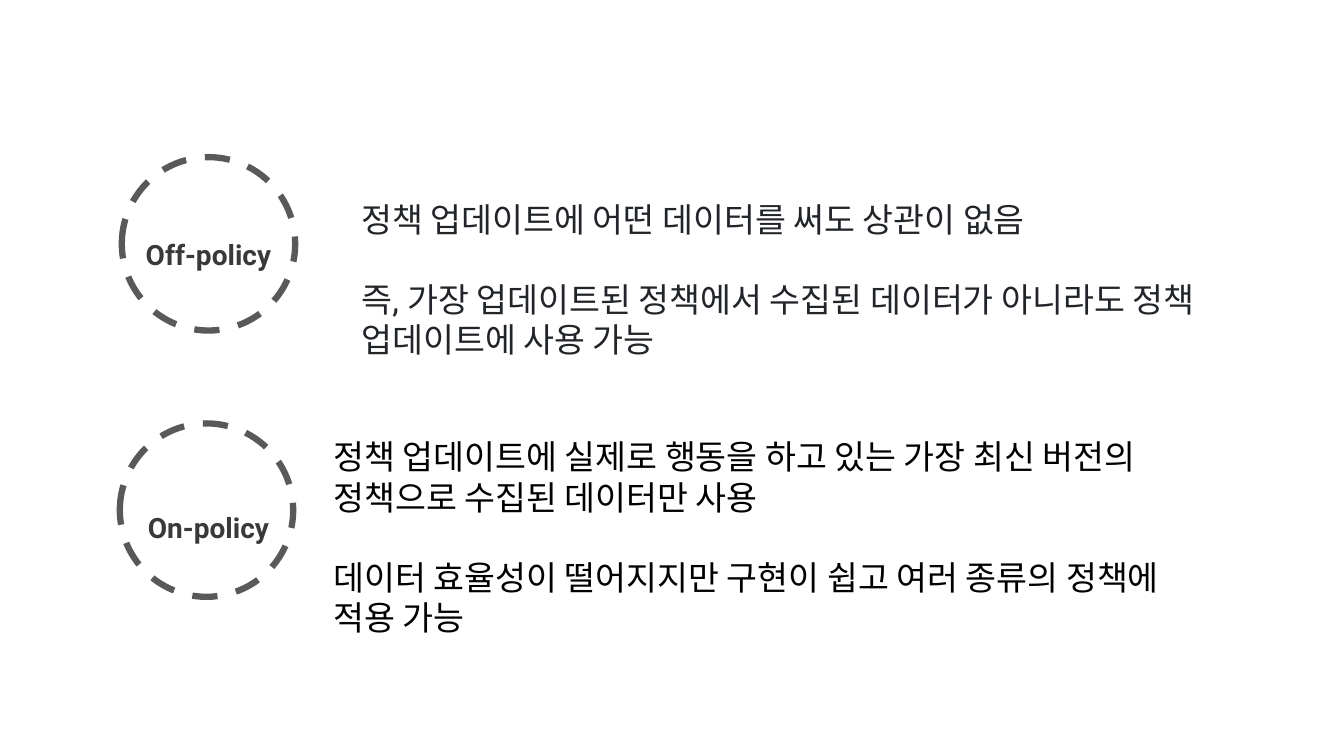
from pptx import Presentation
from pptx.dml.color import RGBColor
from pptx.enum.dml import MSO_LINE
from pptx.enum.shapes import MSO_SHAPE
from pptx.enum.text import PP_ALIGN
from pptx.util import Cm, Pt

COLORS = {
    "white": "FFFFFF",
    "ring": "595959",
    "label": "3B3838",
    "charcoal": "212529",
    "black": "000000",
}
FONT = "Roboto"
DIAMETER = 4.37
LABEL_LEFT = 3.07
LABEL_HEIGHT = 1.42

POLICIES = [
    {
        "label": "Off-policy",
        "ring": (3.07, 3.96),
        "label_top": 5.44,
        "description": (8.86, 4.88, 21.59),
        "color": "charcoal",
        "sentences": [
            "정책 업데이트에 어떤 데이터를 써도 상관이 없음",
            "즉, 가장 업데이트된 정책에서 수집된 데이터가 아니라도 정책 업데이트에 사용 가능",
        ],
    },
    {
        "label": "On-policy",
        "ring": (3.02, 10.67),
        "label_top": 12.32,
        "description": (8.15, 10.87, 23.01),
        "color": "black",
        "sentences": [
            "정책 업데이트에 실제로 행동을 하고 있는 가장 최신 버전의 정책으로 수집된 데이터만 사용",
            "데이터 효율성이 떨어지지만 구현이 쉽고 여러 종류의 정책에 적용 가능",
        ],
    },
]


def color(name):
    return RGBColor.from_string(COLORS[name])


def write(paragraph, text, size=24, name="black", bold=False,
          align=PP_ALIGN.LEFT, line_spacing=1.0, space_before=0):
    paragraph.alignment = align
    paragraph.line_spacing = line_spacing
    paragraph.space_before = Pt(space_before)
    run = paragraph.add_run()
    run.text = text
    run.font.name = FONT
    run.font.size = Pt(size)
    run.font.bold = bold
    run.font.color.rgb = color(name)


class PolicySlide:
    def __init__(self, presentation):
        self.slide = presentation.slides.add_slide(presentation.slide_layouts[6])

    def ring(self, left, top):
        shape = self.slide.shapes.add_shape(
            MSO_SHAPE.OVAL, Cm(left), Cm(top), Cm(DIAMETER), Cm(DIAMETER))
        shape.shadow.inherit = False
        shape.fill.solid()
        shape.fill.fore_color.rgb = color("white")
        shape.line.color.rgb = color("ring")
        shape.line.width = Pt(4.5)
        shape.line.dash_style = MSO_LINE.DASH

    def text_box(self, left, top, width, height):
        shape = self.slide.shapes.add_textbox(Cm(left), Cm(top), Cm(width), Cm(height))
        shape.text_frame.word_wrap = True
        return shape.text_frame

    def label(self, text, top):
        frame = self.text_box(LABEL_LEFT, top, DIAMETER, LABEL_HEIGHT)
        write(frame.paragraphs[0], text, size=20, name="label", bold=True,
              align=PP_ALIGN.CENTER, line_spacing=1.5)

    def description(self, sentences, left, top, width, name):
        frame = self.text_box(left, top, width, DIAMETER)
        for index, sentence in enumerate(sentences):
            paragraph = frame.add_paragraph() if index else frame.paragraphs[0]
            write(paragraph, sentence, name=name, space_before=28.6 if index else 0)


def main():
    presentation = Presentation()
    presentation.slide_width = Cm(33.87)
    presentation.slide_height = Cm(19.05)
    page = PolicySlide(presentation)
    for policy in POLICIES:
        page.ring(*policy["ring"])
        page.label(policy["label"], policy["label_top"])
        page.description(policy["sentences"], *policy["description"], policy["color"])
    presentation.save("out.pptx")


if __name__ == "__main__":
    main()
